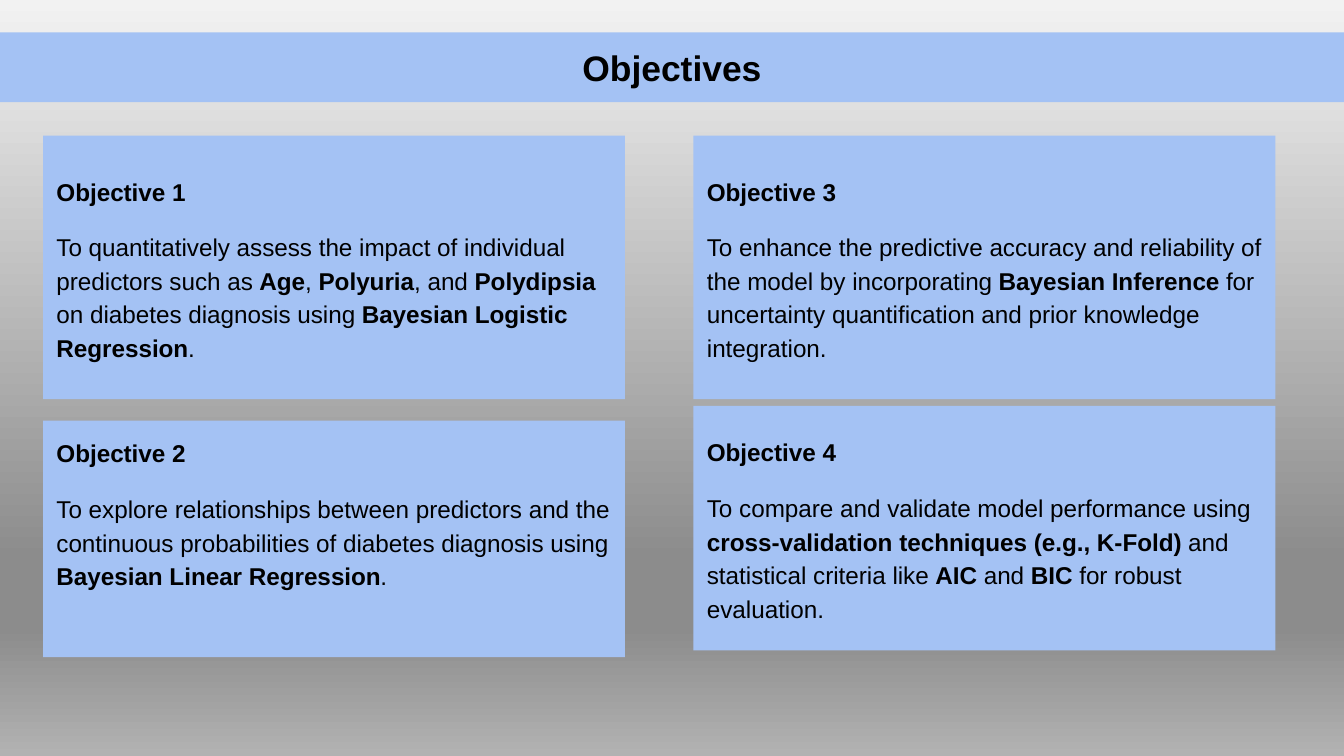
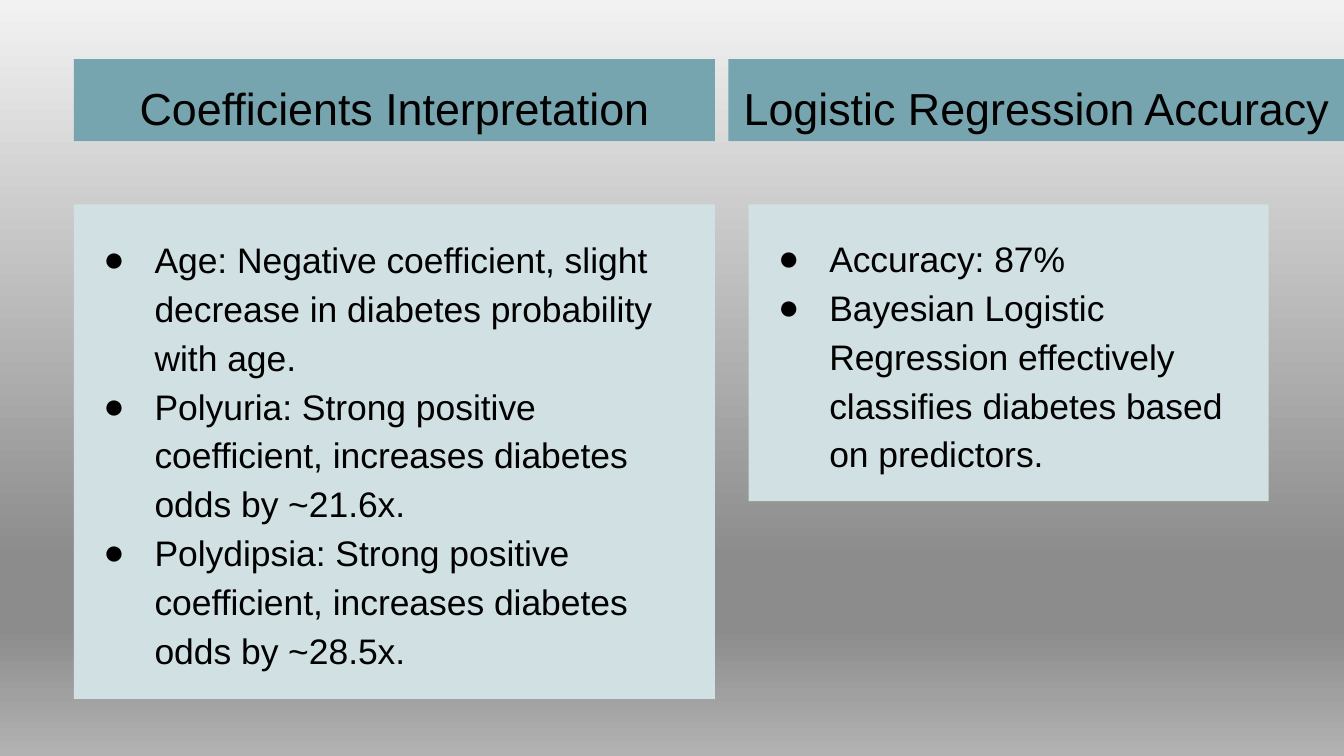
from pptx import Presentation
from pptx.dml.color import RGBColor
from pptx.enum.text import MSO_ANCHOR, MSO_AUTO_SIZE, PP_ALIGN
from pptx.oxml.ns import qn
from pptx.oxml.xmlchemy import OxmlElement
from pptx.util import Inches, Pt

COLORS = {
    "ink": "000000",
    "blue": "A4C2F4",
    "teal": "76A5AF",
    "mist": "D0E0E3",
}
BACKDROP = [(0, "F2F2F2"), (74, "8C8C8C"), (83, "8C8C8C"), (100, "B2B2B2")]
FONT = "Arial"
COMPARISON = 4

OBJECTIVES = [
    ("Objective 1",
     "To quantitatively assess the impact of individual predictors such as "
     "**Age**, **Polyuria**, and **Polydipsia** on diabetes diagnosis using "
     "**Bayesian Logistic Regression**.",
     (0.32, 1.01, 4.33, 1.96), MSO_ANCHOR.MIDDLE, 12),
    ("Objective 2",
     "To explore relationships between predictors and the continuous "
     "probabilities of diabetes diagnosis using "
     "**Bayesian Linear Regression**.",
     (0.32, 3.13, 4.33, 1.76), MSO_ANCHOR.TOP, 0),
    ("Objective 3",
     "To enhance the predictive accuracy and reliability of the model by "
     "incorporating **Bayesian Inference** for uncertainty quantification "
     "and prior knowledge integration.",
     (5.16, 1.01, 4.33, 1.96), MSO_ANCHOR.MIDDLE, 12),
    ("Objective 4",
     "To compare and validate model performance using "
     "**cross-validation techniques (e.g., K-Fold)** and statistical "
     "criteria like **AIC** and **BIC** for robust evaluation.",
     (5.16, 3.02, 4.33, 1.82), MSO_ANCHOR.MIDDLE, 2),
]
COEFFICIENTS = [
    "Age: Negative coefficient, slight decrease in diabetes probability "
    "with age.",
    "Polyuria: Strong positive coefficient, increases diabetes odds by "
    "~21.6x.",
    "Polydipsia: Strong positive coefficient, increases diabetes odds by "
    "~28.5x.",
]
ACCURACY = [
    "Accuracy: 87%",
    "Bayesian Logistic Regression effectively classifies diabetes based on "
    "predictors.",
]


def paint_backdrop(deck):
    fill = deck.slide_master.background.fill
    fill.gradient()
    fill.gradient_angle = 270
    stops = deck.slide_master.element.find(".//" + qn("a:gsLst"))
    for stop in list(stops):
        stops.remove(stop)
    for percent, color in BACKDROP:
        stop = OxmlElement("a:gs")
        stop.set("pos", str(percent * 1000))
        shade = OxmlElement("a:srgbClr")
        shade.set("val", color)
        stop.append(shade)
        stops.append(stop)


def place_panel(panel, box, color, anchor=MSO_ANCHOR.TOP):
    panel.left, panel.top, panel.width, panel.height = map(Inches, box)
    panel.fill.solid()
    panel.fill.fore_color.rgb = RGBColor.from_string(COLORS[color])
    frame = panel.text_frame
    frame.auto_size = MSO_AUTO_SIZE.NONE
    frame.word_wrap = True
    frame.vertical_anchor = anchor
    frame.margin_left = frame.margin_right = Inches(0.1)
    frame.margin_top = frame.margin_bottom = Inches(0.1)
    return frame


def set_bullet(para, bullet):
    settings = para._p.get_or_add_pPr()
    settings.set("marL", str(Inches(0.5) if bullet else 0))
    settings.set("indent", str(Inches(-0.38) if bullet else 0))
    if bullet:
        tint = OxmlElement("a:buClr")
        shade = OxmlElement("a:srgbClr")
        shade.set("val", COLORS["ink"])
        tint.append(shade)
        mark = OxmlElement("a:buChar")
        mark.set("char", "●")
        settings.extend([tint, mark])
    else:
        settings.append(OxmlElement("a:buNone"))


def write_text(para, text, size=13, bold=False, align=PP_ALIGN.LEFT,
               spacing=1.15, before=0, after=0, bullet=False):
    para.alignment = align
    para.line_spacing = spacing
    para.space_before, para.space_after = Pt(before), Pt(after)
    set_bullet(para, bullet)
    for index, part in enumerate(text.split("**")):
        span = para.add_run()
        span.text = part
        span.font.name = FONT
        span.font.size = Pt(size)
        span.font.bold = bold or index % 2 == 1
        span.font.color.rgb = RGBColor.from_string(COLORS["ink"])


def add_heading(panel, text, box, color, **style):
    frame = place_panel(panel, box, color)
    write_text(frame.paragraphs[0], text, align=PP_ALIGN.CENTER, **style)


def add_objective(panel, heading, text, box, anchor, after):
    frame = place_panel(panel, box, "blue", anchor)
    write_text(frame.paragraphs[0], heading, bold=True, before=12)
    write_text(frame.add_paragraph(), text, before=12, after=after)


def add_findings(panel, items, box):
    frame = place_panel(panel, box, "mist", MSO_ANCHOR.MIDDLE)
    for index, item in enumerate(items):
        para = frame.add_paragraph() if index else frame.paragraphs[0]
        write_text(para, item, size=19, before=0 if index else 12,
                   bullet=True)


def build_objectives(deck):
    page = deck.slides.add_slide(deck.slide_layouts[COMPARISON])
    title, *panels = page.placeholders
    add_heading(title, "Objectives", (0, 0.24, 10, 0.52), "blue",
                size=19, bold=True, spacing=1.0)
    for panel, objective in zip(panels, OBJECTIVES):
        add_objective(panel, *objective)


def build_results(deck):
    page = deck.slides.add_slide(deck.slide_layouts[COMPARISON])
    title, spare, left_list, subtitle, right_list = page.placeholders
    spare.element.getparent().remove(spare.element)
    add_heading(title, "Coefficients Interpretation",
                (0.55, 0.44, 4.77, 0.61), "teal", size=24)
    add_heading(subtitle, "Logistic Regression Accuracy",
                (5.42, 0.44, 4.58, 0.61), "teal", size=24)
    add_findings(left_list, COEFFICIENTS, (0.55, 1.52, 4.77, 3.68))
    add_findings(right_list, ACCURACY, (5.57, 1.52, 3.87, 2.21))


def main():
    deck = Presentation()
    deck.slide_width = Inches(10)
    deck.slide_height = Inches(10 * 9 / 16)
    paint_backdrop(deck)
    build_objectives(deck)
    build_results(deck)
    deck.save("out.pptx")


if __name__ == "__main__":
    main()
